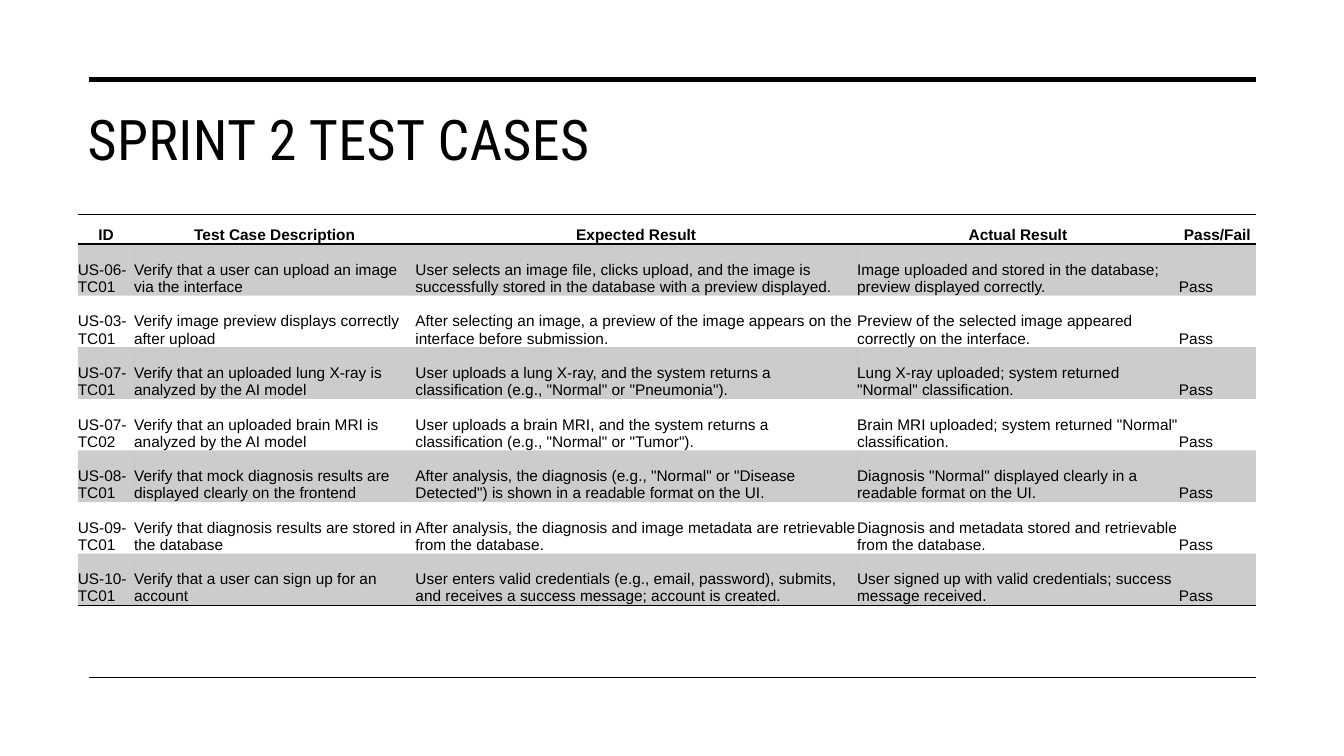
from dataclasses import dataclass

from lxml import etree
from pptx import Presentation
from pptx.dml.color import RGBColor
from pptx.enum.shapes import MSO_CONNECTOR
from pptx.enum.text import MSO_ANCHOR, PP_ALIGN
from pptx.oxml.ns import qn
from pptx.util import Cm, Pt

STRAIGHT = MSO_CONNECTOR.STRAIGHT
TOP, BOTTOM = MSO_ANCHOR.TOP, MSO_ANCHOR.BOTTOM
LEFT, CENTER = PP_ALIGN.LEFT, PP_ALIGN.CENTER


@dataclass(frozen=True)
class Theme:
    ink: str = "000000"
    band_alpha: int = 20
    title_font: str = "Roboto Condensed"
    body_font: str = "Arial"
    title_size: float = 40
    body_size: float = 11
    title_tracking: float = 0.3
    thick_rule: float = 3.5
    thin_rule: float = 1


THEME = Theme()
INK = RGBColor.from_string(THEME.ink)

COLUMN_WIDTHS = (1.42, 7.09, 11.13, 8.11, 1.94)
HEADER_HEIGHT, CASE_HEIGHT = 0.74, 1.3
HEADINGS = ("ID", "Test Case Description", "Expected Result", "Actual Result", "Pass/Fail")
TEST_CASES = (
    ("US-06-TC01", "Verify that a user can upload an image via the interface",
     "User selects an image file, clicks upload, and the image is successfully stored "
     "in the database with a preview displayed.",
     "Image uploaded and stored in the database; preview displayed correctly.", "Pass"),
    ("US-03-TC01", "Verify image preview displays correctly after upload",
     "After selecting an image, a preview of the image appears on the interface before submission.",
     "Preview of the selected image appeared correctly on the interface.", "Pass"),
    ("US-07-TC01", "Verify that an uploaded lung X-ray is analyzed by the AI model",
     'User uploads a lung X-ray, and the system returns a classification '
     '(e.g., "Normal" or "Pneumonia").',
     'Lung X-ray uploaded; system returned "Normal" classification.', "Pass"),
    ("US-07-TC02", "Verify that an uploaded brain MRI is analyzed by the AI model",
     'User uploads a brain MRI, and the system returns a classification '
     '(e.g., "Normal" or "Tumor").',
     'Brain MRI uploaded; system returned "Normal" classification.', "Pass"),
    ("US-08-TC01", "Verify that mock diagnosis results are displayed clearly on the frontend",
     'After analysis, the diagnosis (e.g., "Normal" or "Disease Detected") is shown '
     'in a readable format on the UI.',
     'Diagnosis "Normal" displayed clearly in a readable format on the UI.', "Pass"),
    ("US-09-TC01", "Verify that diagnosis results are stored in the database",
     "After analysis, the diagnosis and image metadata are retrievable from the database.",
     "Diagnosis and metadata stored and retrievable from the database.", "Pass"),
    ("US-10-TC01", "Verify that a user can sign up for an account",
     "User enters valid credentials (e.g., email, password), submits, and receives "
     "a success message; account is created.",
     "User signed up with valid credentials; success message received.", "Pass"),
)


def write(frame, text, *, font=THEME.body_font, size=THEME.body_size, bold=False,
          align=LEFT, tracking=0):
    paragraph = frame.paragraphs[0]
    paragraph.alignment = align
    run = paragraph.add_run()
    run.text = text
    run.font.name = font
    run.font.size = Pt(size)
    run.font.bold = bold
    run.font.color.rgb = INK
    if tracking:
        run.font._element.set("spc", str(round(tracking * 100)))


def add_title(slide, left, top, width, height, text):
    frame = slide.shapes.add_textbox(Cm(left), Cm(top), Cm(width), Cm(height)).text_frame
    frame.word_wrap = True
    frame.vertical_anchor = TOP
    write(frame, text, font=THEME.title_font, size=THEME.title_size,
          tracking=THEME.title_tracking)


def add_rule(slide, left, top, width, weight):
    rule = slide.shapes.add_connector(STRAIGHT, Cm(left), Cm(top), Cm(left + width), Cm(top))
    rule.line.color.rgb = INK
    rule.line.width = Pt(weight)
    etree.SubElement(rule._element.spPr, qn("a:effectLst"))


def add_ink(parent, alpha=None):
    solid = etree.SubElement(parent, qn("a:solidFill"))
    color = etree.SubElement(solid, qn("a:srgbClr"), val=THEME.ink)
    if alpha is not None:
        etree.SubElement(color, qn("a:alpha"), val=str(alpha * 1000))


def style_cell(cell, ruled_edges, banded):
    cell.margin_left = cell.margin_right = cell.margin_top = cell.margin_bottom = 0
    cell.vertical_anchor = BOTTOM
    properties = cell._tc.get_or_add_tcPr()
    for edge in "LRTB":
        ruled = edge in ruled_edges
        border = etree.SubElement(properties, qn(f"a:ln{edge}"),
                                  w=str(Pt(THEME.thin_rule) if ruled else 0))
        if ruled:
            add_ink(border)
        else:
            etree.SubElement(border, qn("a:noFill"))
    if banded:
        add_ink(properties, THEME.band_alpha)
    else:
        cell.fill.background()


def add_test_cases(slide, left, top):
    rows = (HEADINGS, *TEST_CASES)
    heights = [HEADER_HEIGHT] + [CASE_HEIGHT] * len(TEST_CASES)
    table = slide.shapes.add_table(len(rows), len(HEADINGS), Cm(left), Cm(top),
                                   Cm(sum(COLUMN_WIDTHS)), Cm(sum(heights))).table
    table.first_row = table.horz_banding = False
    for column, width in zip(table.columns, COLUMN_WIDTHS):
        column.width = Cm(width)
    for index, (values, height) in enumerate(zip(rows, heights)):
        table.rows[index].height = Cm(height)
        header = index == 0
        edges = ("T" if index <= 1 else "") + ("B" if header or index == len(rows) - 1 else "")
        for column, text in enumerate(values):
            cell = table.cell(index, column)
            style_cell(cell, edges, index % 2 == 1)
            write(cell.text_frame, text, bold=header, align=CENTER if header else LEFT)


def main():
    deck = Presentation()
    deck.slide_width, deck.slide_height = Cm(33.87), Cm(19.05)
    slide = deck.slides.add_slide(deck.slide_layouts[6])
    add_title(slide, 1.96, 2.51, 29.69, 3.2, "SPRINT 2 TEST CASES")
    add_rule(slide, 2.24, 2.01, 29.41, THEME.thick_rule)
    add_rule(slide, 2.24, 17.07, 29.41, THEME.thin_rule)
    add_test_cases(slide, 1.96, 5.41)
    deck.save("out.pptx")


if __name__ == "__main__":
    main()
